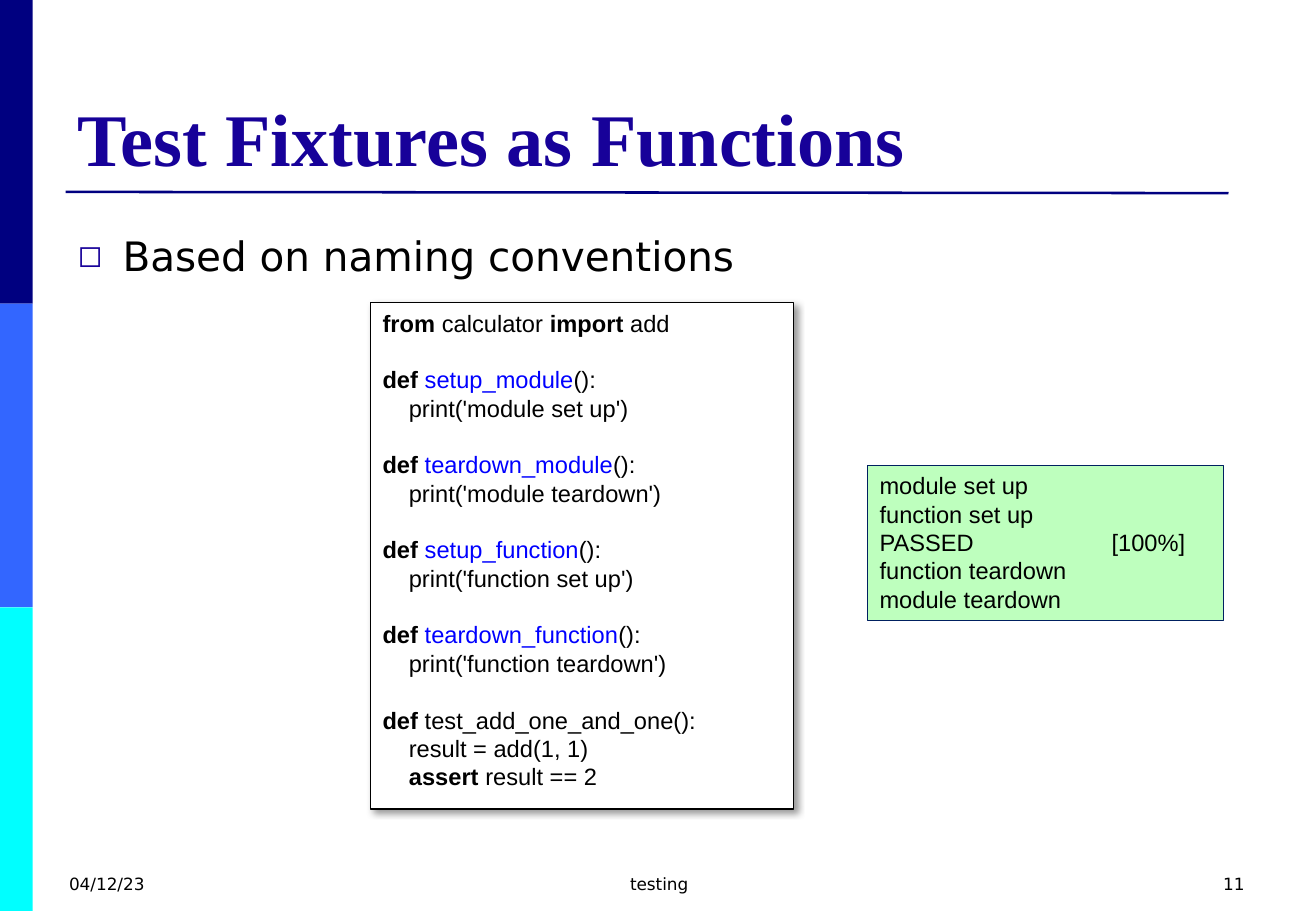
from lxml import etree
from pptx import Presentation
from pptx.dml.color import RGBColor
from pptx.enum.shapes import MSO_CONNECTOR, MSO_SHAPE
from pptx.enum.text import MSO_ANCHOR, MSO_AUTO_SIZE, PP_ALIGN
from pptx.oxml import parse_xml
from pptx.oxml.ns import nsdecls, qn
from pptx.util import Inches, Pt

RECTANGLE = MSO_SHAPE.RECTANGLE
STRAIGHT = MSO_CONNECTOR.STRAIGHT
TOP, BOTTOM = MSO_ANCHOR.TOP, MSO_ANCHOR.BOTTOM
GROW, FIXED = MSO_AUTO_SIZE.SHAPE_TO_FIT_TEXT, MSO_AUTO_SIZE.NONE
LEFT, CENTER, RIGHT = PP_ALIGN.LEFT, PP_ALIGN.CENTER, PP_ALIGN.RIGHT

COLORS = {
    "navy": "000080", "blue": "3366FF", "cyan": "00FFFF",
    "title": "170199", "black": "000000", "white": "FFFFFF",
    "name": "0000FF", "output": "BEFFBE", "border": "002060",
}
FONTS = {"title": "Times New Roman", "body": "DejaVu Sans", "code": "Arial"}


def color(name):
    return RGBColor.from_string(COLORS[name])


class SlideBuilder:
    def __init__(self, deck):
        self.slide = deck.slides.add_slide(deck.slide_layouts[5])

    def style(self, font, face, size, tint="black", bold=False):
        font.name = FONTS[face]
        font.size = Pt(size)
        font.bold = bold
        font.color.rgb = color(tint)

    def place(self, box, bounds):
        box.left, box.top, box.width, box.height = map(Inches, bounds)

    def title(self, text, bounds):
        box = self.slide.shapes.title
        self.place(box, bounds)
        frame = box.text_frame
        frame.text = text
        frame.word_wrap = True
        frame.auto_size = FIXED
        frame.vertical_anchor = BOTTOM
        frame.paragraphs[0].alignment = LEFT
        self.style(frame.paragraphs[0].runs[0].font, "title", 44, "title", True)

    def text(self, text, bounds, size, alignment=LEFT):
        box = self.slide.shapes.add_textbox(*map(Inches, bounds))
        box.text_frame.word_wrap = True
        para = box.text_frame.paragraphs[0]
        para.text = text
        para.alignment = alignment
        self.style(para.runs[0].font, "body", size)
        return para

    def bullet(self, text, bounds):
        para = self.text(text, bounds, 24)
        para.line_spacing = 1.25
        properties = para._p.get_or_add_pPr()
        properties.set("marL", str(Inches(0.37)))
        properties.set("indent", str(-Inches(0.37)))
        tint = etree.SubElement(properties, qn("a:buClr"))
        etree.SubElement(tint, qn("a:srgbClr"), val=COLORS["title"])
        etree.SubElement(properties, qn("a:buSzPct"), val="75000")
        etree.SubElement(properties, qn("a:buFont"), typeface=FONTS["body"])
        etree.SubElement(properties, qn("a:buChar"), char="◻")

    def rectangle(self, bounds, fill, border=None):
        box = self.slide.shapes.add_shape(RECTANGLE, *map(Inches, bounds))
        box.shadow.inherit = False
        box.fill.solid()
        box.fill.fore_color.rgb = color(fill)
        if border:
            box.line.color.rgb = color(border)
            box.line.width = Pt(0.75)
        else:
            box.line.fill.background()
        return box

    def panel(self, bounds, fill, border):
        box = self.rectangle(bounds, fill, border)
        frame = box.text_frame
        frame.word_wrap = True
        frame.auto_size = GROW
        frame.vertical_anchor = TOP
        return box

    def code(self, lines, bounds):
        box = self.panel(bounds, "white", "black")
        effects = box._element.spPr.find(qn("a:effectLst"))
        effects.append(parse_xml(
            f'<a:outerShdw {nsdecls("a")} blurRad="{Pt(4)}" dist="{Pt(3)}" '
            f'dir="2700000" algn="tl" rotWithShape="0">'
            f'<a:srgbClr val="{COLORS["black"]}"><a:alpha val="40000"/></a:srgbClr>'
            f'</a:outerShdw>'))
        para = box.text_frame.paragraphs[0]
        para.alignment = LEFT
        for number, line in enumerate(lines):
            if number:
                para.add_line_break()
            for text, kind in line:
                span = para.add_run()
                span.text = text
                tint = "name" if kind == "name" else "black"
                self.style(span.font, "code", 14, tint, kind == "keyword")
        for line_break in para._p.findall(qn("a:br")):
            etree.SubElement(line_break, qn("a:rPr"), sz="1400")

    def output(self, lines, bounds, tab):
        frame = self.panel(bounds, "output", "border").text_frame
        frame.text = "\n".join(lines)
        for para in frame.paragraphs:
            para.alignment = LEFT
            if "\t" in para.text:
                tabs = etree.SubElement(para._p.get_or_add_pPr(), qn("a:tabLst"))
                etree.SubElement(tabs, qn("a:tab"), pos=str(Inches(tab)), algn="l")
            for span in para.runs:
                self.style(span.font, "code", 14)

    def rule(self, start, end):
        line = self.slide.shapes.add_connector(STRAIGHT, *map(Inches, start + end))
        line.line.color.rgb = color("navy")
        line.line.width = Pt(1.5)
        etree.SubElement(line._element.spPr, qn("a:effectLst"))


def fixture_code():
    lines = [[("from", "keyword"), (" calculator ", "plain"),
              ("import", "keyword"), (" add", "plain")], []]
    for scope in ("module", "function"):
        for prefix, label in (("setup", "set up"), ("teardown", "teardown")):
            lines += [
                [("def ", "keyword"), (f"{prefix}_{scope}", "name"), ("():", "plain")],
                [(f"    print('{scope} {label}')", "plain")],
                [],
            ]
    return lines + [
        [("def ", "keyword"), ("test_add_one_and_one():", "plain")],
        [("    result = add(1, 1)", "plain")],
        [("    ", "plain"), ("assert", "keyword"), (" result == 2", "plain")],
    ]


def main():
    deck = Presentation()
    deck.slide_width, deck.slide_height = Inches(10.83), Inches(7.5)
    page = SlideBuilder(deck)
    for position, fill in enumerate(("navy", "blue", "cyan")):
        page.rectangle((0, 2.5 * position, 0.27, 2.5), fill)
    page.rule((0.54, 1.58), (10.11, 1.59))
    page.title("Test Fixtures as Functions", (0.54, 0.3, 9.75, 1.24))
    page.bullet("Based on naming conventions", (0.54, 1.75, 9.75, 4.95))
    for text, left, width, alignment in (
        ("04/12/23", 0.47, 2.53, LEFT),
        ("testing", 3.71, 3.43, CENTER),
        ("11", 7.81, 2.53, RIGHT),
    ):
        page.text(text, (left, 7.14, width, 0.36), 10, alignment)
    page.code(fixture_code(), (3.05, 2.49, 3.48, 4.17))
    page.output(
        ["module set up", "function set up", "PASSED\t[100%]",
         "function teardown", "module teardown"],
        (7.14, 3.83, 2.93, 1.28), 1.91)
    deck.save("out.pptx")


if __name__ == "__main__":
    main()
